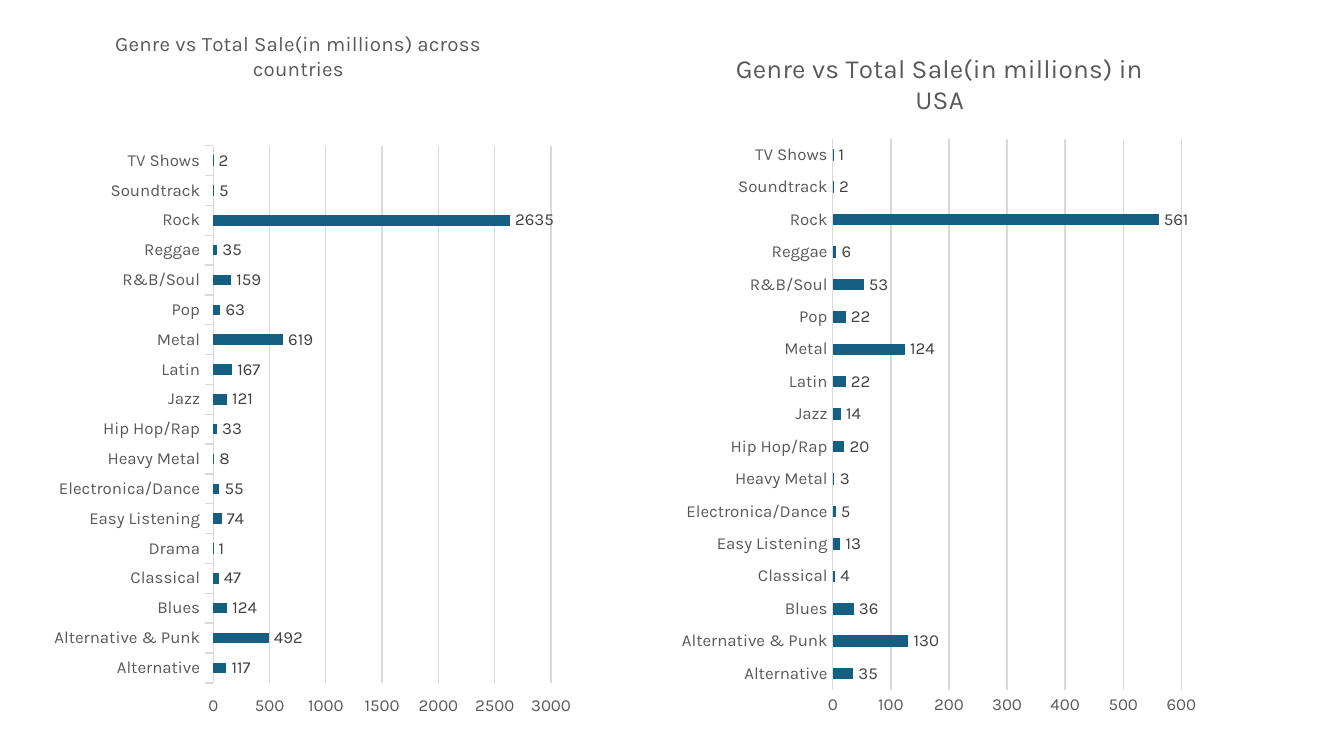
"""Build a slide with two bar charts of music sales by genre."""
import pptx
import pptx.chart.data
import pptx.dml.color
import pptx.enum.chart
import pptx.oxml
import pptx.oxml.ns
import pptx.util

THEME = {
    "font": "Karla", "bar": "156082", "text": "595959", "label": "404040",
    "line": "D9D9D9", "base": "000000", "small": 9, "body": 10, "rule": 0.75,
}
SLIDE_W = 10
SLIDE_H = SLIDE_W * 9 / 16
CHART_TOP, CHART_W, CHART_H = 0.19, 3.99, 5.26

SALES = [
    ("Alternative", 117, 35), ("Alternative & Punk", 492, 130),
    ("Blues", 124, 36), ("Classical", 47, 4), ("Drama", 1, None),
    ("Easy Listening", 74, 13), ("Electronica/Dance", 55, 5),
    ("Heavy Metal", 8, 3), ("Hip Hop/Rap", 33, 20), ("Jazz", 121, 14),
    ("Latin", 167, 22), ("Metal", 619, 124), ("Pop", 63, 22),
    ("R&B/Soul", 159, 53), ("Reggae", 35, 6), ("Rock", 2635, 561),
    ("Soundtrack", 5, 2), ("TV Shows", 2, 1),
]
CHARTS = [
    {"title": "Genre vs Total Sale(in millions) across countries", "size": 11,
     "left": 0.31, "column": 1, "step": 500, "tick": "OUTSIDE",
     "title_at": {"x": 0.13, "y": 0},
     "plot_at": {"x": 0.32, "y": 0.17, "w": 0.63, "h": 0.76}},
    {"title": "Genre vs Total Sale(in millions) in USA", "size": 14,
     "left": 5, "column": 2, "step": 100, "tick": "NONE",
     "title_at": {"x": 0.11, "y": 0.03},
     "plot_at": {"x": 0.3, "y": 0.16, "w": 0.65, "h": 0.78}},
]


def rgb(name):
    return pptx.dml.color.RGBColor.from_string(THEME[name])


def style_font(font, size, color):
    font.name = THEME["font"]
    font.size = pptx.util.Pt(size)
    font.bold = False
    font.color.rgb = rgb(color)


def style_line(line):
    line.color.rgb = rgb("line")
    line.width = pptx.util.Pt(THEME["rule"])


def place(element, position, index, inner=False):
    """Give a chart part a manual layout in shares of the chart."""
    for old in element.findall(pptx.oxml.ns.qn("c:layout")):
        element.remove(old)
    target = '<c:layoutTarget val="inner"/>' if inner else ""
    modes = "".join(f'<c:{k}Mode val="edge"/>' for k in "xy")
    values = "".join(f'<c:{k} val="{v}"/>' for k, v in position.items())
    element.insert(index, pptx.oxml.parse_xml(
        f'<c:layout {pptx.oxml.ns.nsdecls("c")}><c:manualLayout>'
        f"{target}{modes}{values}</c:manualLayout></c:layout>"))


def add_bar_chart(slide, info):
    rows = [(row[0], row[info["column"]]) for row in SALES
            if row[info["column"]] is not None]
    data = pptx.chart.data.CategoryChartData()
    data.categories = [genre for genre, _ in rows]
    data.add_series("Series 1", [value for _, value in rows])
    box = [pptx.util.Inches(v)
           for v in (info["left"], CHART_TOP, CHART_W, CHART_H)]
    chart = slide.shapes.add_chart(
        pptx.enum.chart.XL_CHART_TYPE.BAR_CLUSTERED, *box, data).chart
    style_font(chart.font, THEME["body"], "base")
    chart.has_legend = False

    chart.has_title = True
    title = chart.chart_title
    title.include_in_layout = False
    r = title.text_frame.paragraphs[0].add_run()
    r.text = info["title"]
    style_font(r.font, info["size"], "text")
    place(title._element, info["title_at"], 1)

    for axis in (chart.category_axis, chart.value_axis):
        style_font(axis.tick_labels.font, THEME["small"], "text")
        axis.major_tick_mark = pptx.enum.chart.XL_TICK_MARK[info["tick"]]
        axis.minor_tick_mark = pptx.enum.chart.XL_TICK_MARK.NONE
    chart.category_axis.has_major_gridlines = False
    style_line(chart.category_axis.format.line)
    values = chart.value_axis
    values.minimum_scale, values.maximum_scale = 0, 6 * info["step"]
    values.major_unit = info["step"]
    values.format.line.fill.background()
    values.has_major_gridlines = True
    style_line(values.major_gridlines.format.line)

    plot = chart.plots[0]
    plot.gap_width = 182
    plot.vary_by_categories = False
    fill = plot.series[0].format.fill
    fill.solid()
    fill.fore_color.rgb = rgb("bar")
    labels = plot.series[0].data_labels
    labels.show_value = True
    labels.position = pptx.enum.chart.XL_LABEL_POSITION.OUTSIDE_END
    style_font(labels.font, THEME["small"], "label")
    place(chart._chartSpace.chart.plotArea, info["plot_at"], 0, inner=True)


def main():
    prs = pptx.Presentation()
    prs.slide_width = pptx.util.Inches(SLIDE_W)
    prs.slide_height = pptx.util.Inches(SLIDE_H)
    slide = prs.slides.add_slide(prs.slide_layouts[6])
    for info in CHARTS:
        add_bar_chart(slide, info)
    prs.save("out.pptx")


if __name__ == "__main__":
    main()
